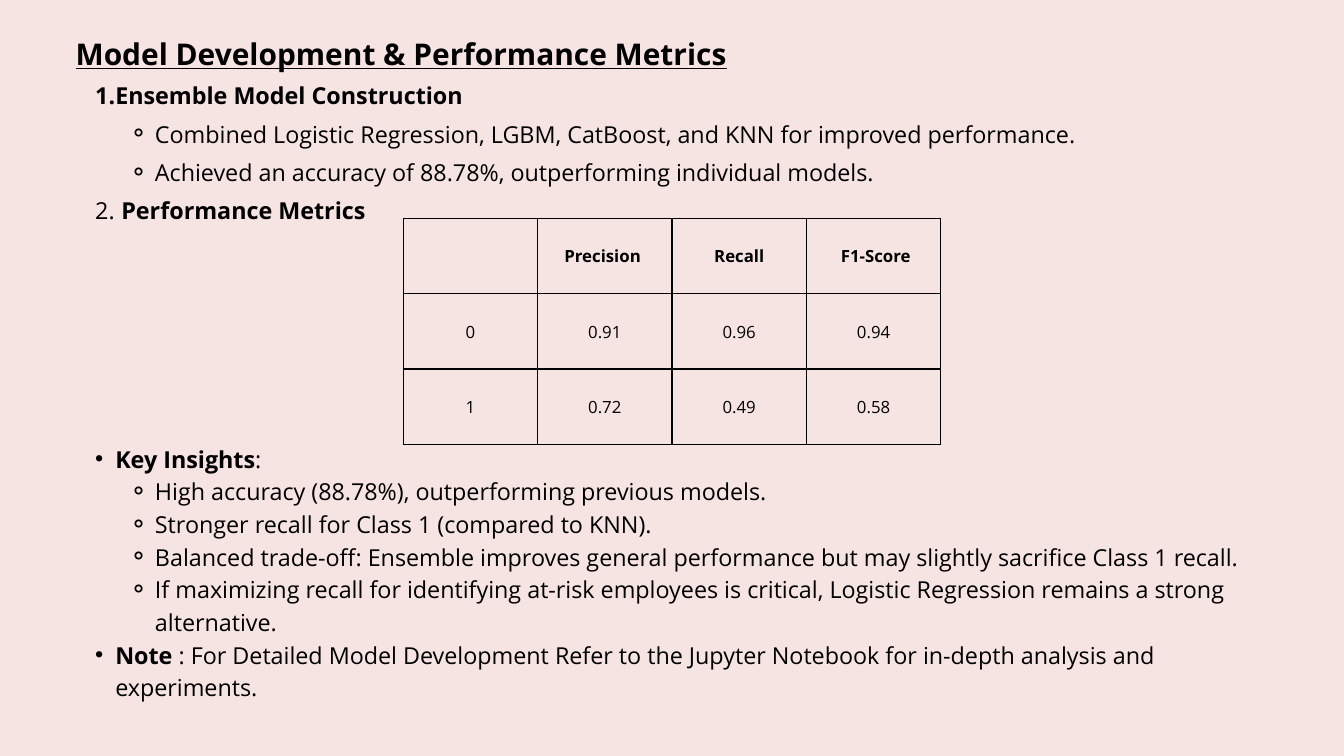
from lxml.etree import SubElement
from pptx import Presentation
from pptx.dml.color import RGBColor as Rgb
from pptx.enum.text import MSO_ANCHOR as Anchor, MSO_AUTO_SIZE as AutoSize, PP_ALIGN as Align
from pptx.oxml import parse_xml
from pptx.oxml.ns import nsdecls, qn
from pptx.util import Pt

COLORS = {"page": "F6E4E3", "ink": "000000"}
FONT = "Open Sans"
LEFT, WIDTH = 81, 1278
INDENTS = {1: (42.5, -21.5), 2: (85, -28)}
NUMBER, DOT, RING = "number", "•", "⚬"

MODEL_ITEMS = [
    (1, NUMBER, [("Ensemble Model Construction", True)]),
    (2, RING, [("Combined Logistic Regression, LGBM, CatBoost, and KNN for improved performance.", False)]),
    (2, RING, [("Achieved an accuracy of 88.78%, outperforming individual models.", False)]),
    (1, NUMBER, [(" ", False), ("Performance Metrics", True)]),
]
INSIGHT_ITEMS = [
    (1, DOT, [("Key Insights", True), (":", False)]),
    (2, RING, [("High accuracy (88.78%), outperforming previous models.", False)]),
    (2, RING, [("Stronger recall for Class 1 (compared to KNN).", False)]),
    (2, RING, [("Balanced trade-off: Ensemble improves general performance "
                "but may slightly sacrifice Class 1 recall.", False)]),
    (2, RING, [("If maximizing recall for identifying at-risk employees is critical, "
                "Logistic Regression remains a strong alternative.", False)]),
    (1, DOT, [("Note", True),
              (" : For Detailed Model Development Refer to the Jupyter Notebook "
               "for in-depth analysis and experiments.", False)]),
]
METRICS = [
    ["", "Precision ", "Recall", " F1-Score"],
    ["0", "0.91", "0.96", "0.94"],
    ["1", "0.72", "0.49", "0.58"],
]


def add_span(para, text, size, bold=False, underline=False):
    span = para.add_run()
    span.text = text
    span.font.name = FONT
    span.font.size = Pt(size)
    span.font.bold = bold
    span.font.underline = underline
    span.font.color.rgb = Rgb.from_string(COLORS["ink"])


def set_paragraph(para, align, spacing):
    para.alignment = align
    para.line_spacing = Pt(spacing)
    para.space_before = para.space_after = Pt(0)


def set_bullet(para, level, bullet):
    para.level = level
    props = para._p.get_or_add_pPr()
    margin, indent = INDENTS[level]
    props.set("marL", str(Pt(margin)))
    props.set("indent", str(Pt(indent)))
    if bullet == NUMBER:
        SubElement(props, qn("a:buFontTx"))
        SubElement(props, qn("a:buAutoNum"), type="arabicPeriod")
    else:
        SubElement(props, qn("a:buChar"), char=bullet)


def place_box(box, top, height):
    box.left, box.top, box.width, box.height = Pt(LEFT), Pt(top), Pt(WIDTH), Pt(height)
    frame = box.text_frame
    frame.margin_left = frame.margin_right = frame.margin_top = frame.margin_bottom = 0
    frame.vertical_anchor = Anchor.TOP
    frame.auto_size = AutoSize.NONE
    frame.word_wrap = True
    return frame


def fill_title(box, text):
    para = place_box(box, 31.5, 45).paragraphs[0]
    set_paragraph(para, Align.JUSTIFY, 44.8)
    add_span(para, text, 32, bold=True, underline=True)


def fill_list(box, top, height, items, align, spacing):
    frame = place_box(box, top, height)
    for index, (level, bullet, spans) in enumerate(items):
        para = frame.add_paragraph() if index else frame.paragraphs[0]
        set_paragraph(para, align, spacing)
        set_bullet(para, level, bullet)
        for text, bold in spans:
            add_span(para, text, 25, bold)


def set_borders(cell):
    props = cell._tc.get_or_add_tcPr()
    for index, side in enumerate(("lnL", "lnR", "lnT", "lnB")):
        props.insert(index, parse_xml(
            f'<a:{side} {nsdecls("a")} w="{Pt(1.5)}"><a:solidFill>'
            f'<a:srgbClr val="{COLORS["ink"]}"/></a:solidFill></a:{side}>'))


def add_metrics_table(page):
    table = page.shapes.add_table(3, 4, Pt(432), Pt(234), Pt(576), Pt(242)).table
    table.first_row = table.horz_banding = False
    for row, values in zip(table.rows, METRICS):
        row.height = Pt(80.7)
        for cell, text in zip(row.cells, values):
            cell.margin_left = cell.margin_right = cell.margin_top = cell.margin_bottom = Pt(15)
            cell.vertical_anchor = Anchor.MIDDLE
            cell.fill.background()
            set_borders(cell)
            if text:
                para = cell.text_frame.paragraphs[0]
                set_paragraph(para, Align.CENTER, 25.2)
                add_span(para, text, 18, bold=values is METRICS[0])


def main():
    deck = Presentation()
    deck.slide_width, deck.slide_height = Pt(1440), Pt(810)
    page = deck.slides.add_slide(deck.slide_layouts[3])
    page.background.fill.solid()
    page.background.fill.fore_color.rgb = Rgb.from_string(COLORS["page"])
    title, models, insights = page.placeholders
    fill_title(title, "Model Development & Performance Metrics")
    fill_list(models, 76.3, 164, MODEL_ITEMS, Align.JUSTIFY, 41)
    add_metrics_table(page)
    fill_list(insights, 471.6, 276, INSIGHT_ITEMS, Align.LEFT, 35)
    deck.save("out.pptx")


if __name__ == "__main__":
    main()
